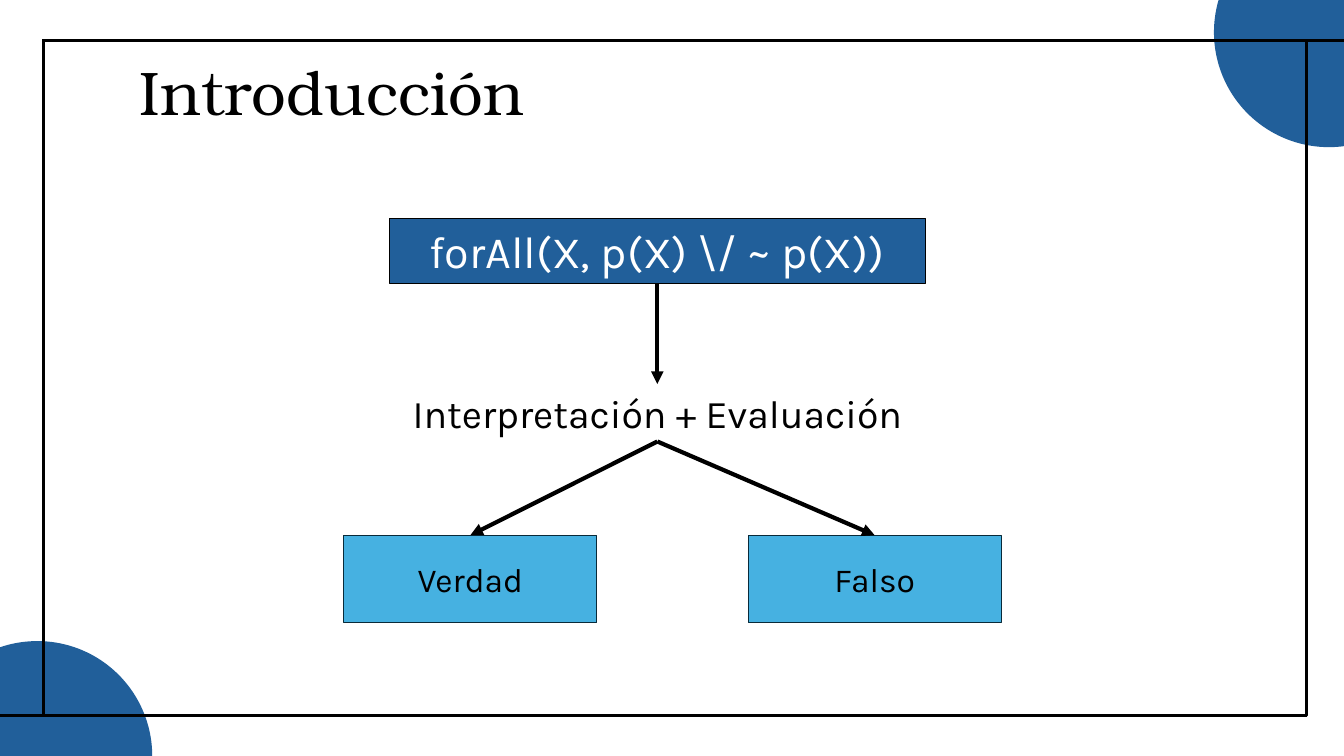
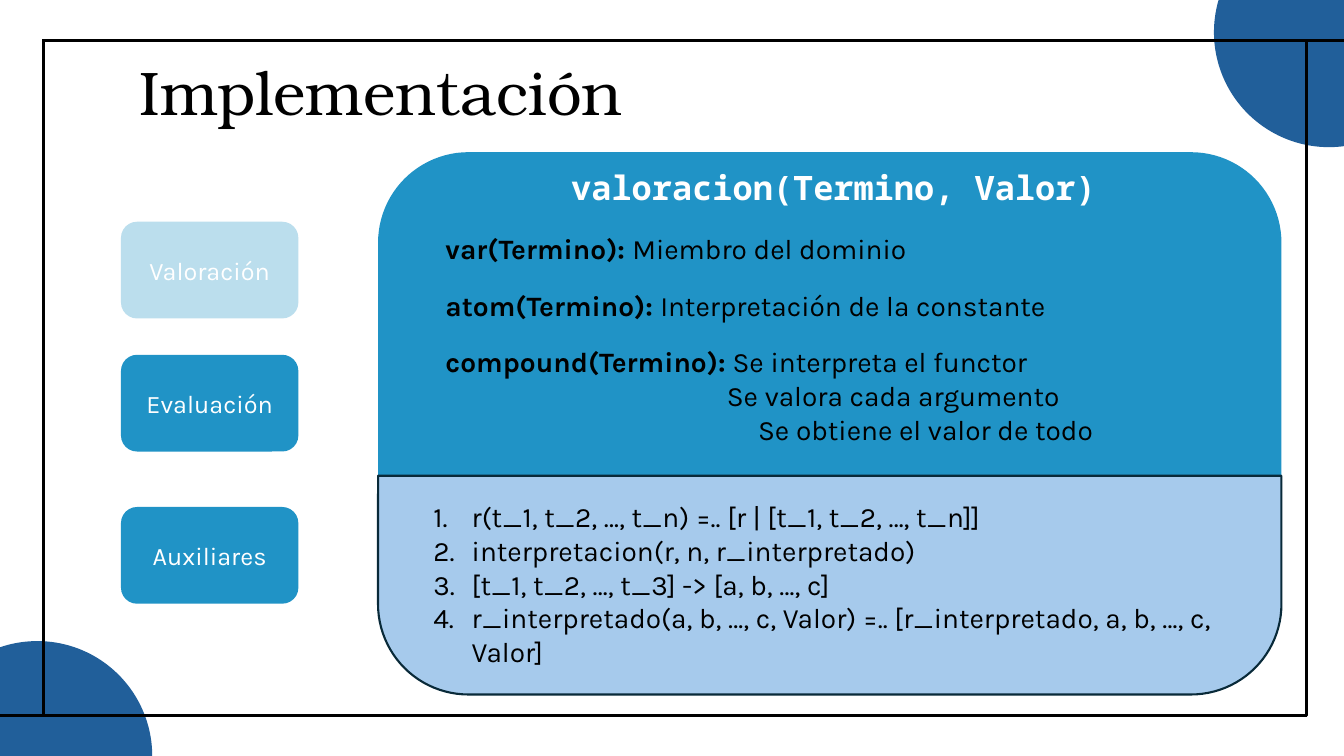
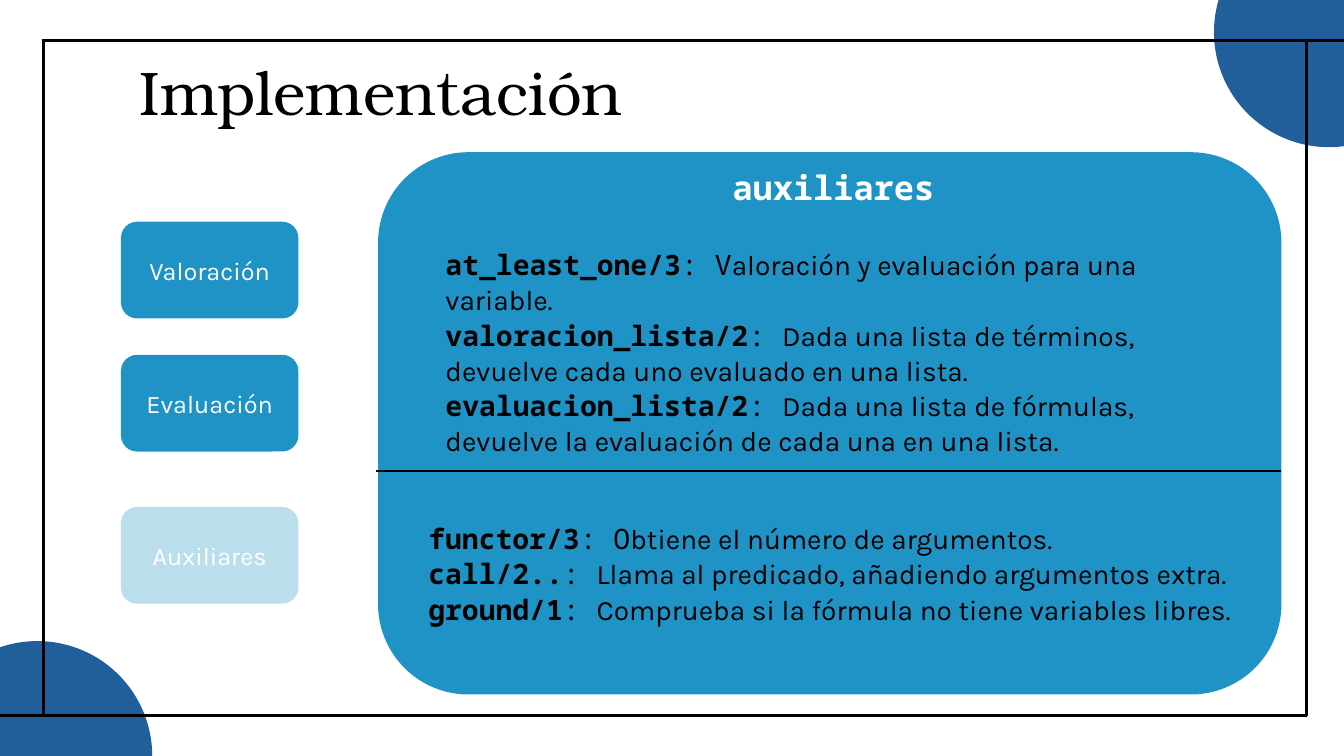
from dataclasses import dataclass

from lxml.etree import SubElement
from pptx import Presentation
from pptx.dml.color import RGBColor
from pptx.enum.shapes import MSO_CONNECTOR, MSO_SHAPE
from pptx.enum.text import MSO_ANCHOR, PP_ALIGN
from pptx.oxml.ns import qn
from pptx.util import Inches, Pt


@dataclass(frozen=True)
class Theme:
    """Colours, fonts and type sizes of the deck."""

    navy: RGBColor = RGBColor(0x21, 0x5F, 0x9A)
    blue: RGBColor = RGBColor(0x20, 0x93, 0xC6)
    sky: RGBColor = RGBColor(0x46, 0xB1, 0xE1)
    pale: RGBColor = RGBColor(0xA6, 0xCA, 0xEC)
    edge: RGBColor = RGBColor(0x09, 0x2A, 0x39)
    black: RGBColor = RGBColor(0, 0, 0)
    white: RGBColor = RGBColor(255, 255, 255)
    title_font: str = "TeX Gyre Bonum"
    body_font: str = "Karla"
    code_font: str = "Noto Sans Mono"
    title_size: int = 44
    formula_size: int = 32
    step_size: int = 28
    heading_size: int = 24
    body_size: int = 20
    tab_size: int = 18


THEME = Theme()
SECTION_TOPS = {"Valoración": 2.2, "Evaluación": 3.52, "Auxiliares": 5.03}
CARD_LEFT, CARD_TOP, CARD_WIDTH, CARD_HEIGHT = 3.75, 1.51, 8.96, 5.38


def style_runs(paragraph, size, color=THEME.black, font=THEME.body_font, bold=False):
    """Format every run of a paragraph alike."""
    for run in paragraph.runs:
        run.font.size = Pt(size)
        run.font.name = font
        run.font.color.rgb = color
        run.font.bold = bold


def add_panel(slide, preset, box, fill=None, line=None, width=0.75):
    """Add a preset shape with a plain fill and outline."""
    panel = slide.shapes.add_shape(preset, *map(Inches, box))
    panel.shadow.inherit = False
    if fill is None:
        panel.fill.background()
    else:
        panel.fill.solid()
        panel.fill.fore_color.rgb = fill
    if line is None:
        panel.line.fill.background()
    else:
        panel.line.color.rgb = line
        panel.line.width = Pt(width)
    return panel


def label(holder, text, size, **style):
    """Write one centred line in a shape or text box."""
    holder.text_frame.text = text
    paragraph = holder.text_frame.paragraphs[0]
    paragraph.alignment = PP_ALIGN.CENTER
    style_runs(paragraph, size, **style)
    return paragraph


def add_text_area(slide, box):
    """Add an empty wrapping text box."""
    area = slide.shapes.add_textbox(*map(Inches, box))
    area.text_frame.word_wrap = True
    return area


def add_paragraphs(area, count):
    """Extend a text box to a number of paragraphs and return them."""
    for _ in range(count - 1):
        area.text_frame.add_paragraph()
    return area.text_frame.paragraphs


def add_rule(slide, start, end, width, arrow=False):
    """Add a straight black line, with an arrowhead if wanted."""
    rule = slide.shapes.add_connector(
        MSO_CONNECTOR.STRAIGHT, *map(Inches, start + end))
    rule.line.color.rgb = THEME.black
    rule.line.width = Pt(width)
    properties = rule.element.spPr
    if arrow:
        SubElement(properties.get_or_add_ln(), qn("a:tailEnd"), type="triangle")
    SubElement(properties, qn("a:effectLst"))
    return rule


def add_arrow(slide, source, target):
    """Join the bottom of one box to the top of another."""
    arrow = add_rule(slide, (0, 0), (1, 1), 3, arrow=True)
    arrow.begin_connect(source, 2)
    arrow.end_connect(target, 0)


def start_slide(deck, title):
    """Add a slide with the shared circles, frame and title."""
    slide = deck.slides.add_slide(deck.slide_layouts[6])
    for left, top in ((12.04, -0.82), (-0.77, 6.36)):
        add_panel(slide, MSO_SHAPE.OVAL, (left, top, 2.28, 2.28), THEME.navy)
    add_panel(slide, MSO_SHAPE.RECTANGLE, (0.43, 0.4, 12.53, 6.7),
              line=THEME.black, width=2.25)
    add_rule(slide, (0.42, 0.4), (13.33, 0.4), 2.25)
    add_rule(slide, (0, 7.1), (12.96, 7.1), 2.25)
    heading = add_text_area(slide, (1.29, 0.4, 11.13, 1.1))
    heading.text_frame.vertical_anchor = MSO_ANCHOR.MIDDLE
    heading.text_frame.text = title
    paragraph = heading.text_frame.paragraphs[0]
    paragraph.line_spacing = 0.9
    style_runs(paragraph, THEME.title_size, font=THEME.title_font)
    return slide


def add_section_tabs(slide, current):
    """Add the section tabs, fading the current one."""
    for section, top in SECTION_TOPS.items():
        tab = add_panel(slide, MSO_SHAPE.ROUNDED_RECTANGLE,
                        (1.2, top, 1.76, 0.96), THEME.blue)
        label(tab, section, THEME.tab_size, color=THEME.white)
        if section == current:
            color = tab.element.spPr.find(".//" + qn("a:srgbClr"))
            SubElement(color, qn("a:alpha"), val="30000")


def add_card(slide):
    """Add the large rounded card."""
    add_panel(slide, MSO_SHAPE.ROUNDED_RECTANGLE,
              (CARD_LEFT, CARD_TOP, CARD_WIDTH, CARD_HEIGHT), THEME.blue)


def add_card_heading(slide, text):
    """Add the code heading at the top of the card."""
    heading = add_text_area(slide, (4.32, 1.61, 7.89, 0.5))
    label(heading, text, THEME.heading_size, color=THEME.white,
          font=THEME.code_font, bold=True)


def add_card_foot(slide, top):
    """Add the pale lower part that follows the card's round corners."""
    height = CARD_TOP + CARD_HEIGHT - top
    foot = add_panel(slide, MSO_SHAPE.ROUND_2_SAME_RECTANGLE,
                     (CARD_LEFT, top, CARD_WIDTH, height),
                     THEME.pale, THEME.edge, 1.5)
    foot.adjustments[0] = 0
    foot.adjustments[1] = CARD_HEIGHT / 6 / height


def add_numbered_list(slide, box, items):
    """Add an automatically numbered list."""
    area = add_text_area(slide, box)
    for paragraph, item in zip(add_paragraphs(area, len(items)), items):
        paragraph.text = item
        style_runs(paragraph, THEME.body_size)
        properties = paragraph._p.get_or_add_pPr()
        properties.set("marL", str(Inches(0.38)))
        properties.set("indent", str(-Inches(0.38)))
        SubElement(properties, qn("a:buAutoNum"), type="arabicPeriod")


def add_cases(slide, box, cases):
    """Add bold terms with meanings, given as term, meaning, indent, gap."""
    area = add_text_area(slide, box)
    paragraphs = add_paragraphs(area, len(cases))
    for paragraph, (term, meaning, indent, gap) in zip(paragraphs, cases):
        for part in filter(None, (term, meaning)):
            paragraph.add_run().text = part
        style_runs(paragraph, THEME.body_size)
        paragraph.runs[0].font.bold = bool(term)
        paragraph.space_after = Pt(gap)
        paragraph._p.get_or_add_pPr().set("marL", str(Inches(indent)))


def add_predicates(slide, box, predicates):
    """Add predicates, given as name, code-font lead and description."""
    area = add_text_area(slide, box)
    paragraphs = add_paragraphs(area, len(predicates))
    for paragraph, parts in zip(paragraphs, predicates):
        for part in parts:
            paragraph.add_run().text = part
        paragraph.line_spacing = 1.05
        style_runs(paragraph, THEME.body_size, font=THEME.code_font)
        paragraph.runs[0].font.bold = True
        paragraph.runs[-1].font.name = THEME.body_font


def build_introduction(deck):
    """Build the flow from a formula to its truth value."""
    slide = start_slide(deck, "Introducción")
    formula = add_panel(slide, MSO_SHAPE.RECTANGLE, (3.86, 2.17, 5.32, 0.64),
                        THEME.navy, THEME.black)
    label(formula, "forAll(X, p(X) \\/ ~ p(X))", THEME.formula_size,
          color=THEME.white)
    step = add_text_area(slide, (3.86, 3.81, 5.32, 0.57))
    paragraph = label(step, "Interpretación + Evaluación", THEME.step_size)
    paragraph.space_before = paragraph.space_after = Pt(6)
    add_arrow(slide, formula, step)
    for left, value in ((3.41, "Verdad"), (7.42, "Falso")):
        result = add_panel(slide, MSO_SHAPE.RECTANGLE, (left, 5.31, 2.51, 0.87),
                           THEME.sky, THEME.edge)
        label(result, value, THEME.heading_size)
        add_arrow(slide, step, result)


def build_valuation(deck):
    """Build the slide on the valuation of terms."""
    slide = start_slide(deck, "Implementación")
    add_section_tabs(slide, "Valoración")
    add_card(slide)
    add_card_foot(slide, 4.72)
    add_card_heading(slide, "valoracion(Termino, Valor)")
    add_cases(slide, (4.32, 2.25, 7.99, 2.26), (
        ("var(Termino): ", "Miembro del dominio", 0, 16.4),
        ("atom(Termino): ", "Interpretación de la constante", 0, 16.4),
        ("compound(Termino):", " Se interpreta el functor", 0, 0),
        ("", "Se valora cada argumento", 2.79, 0),
        ("", "Se obtiene el valor de todo", 3.1, 0),
    ))
    add_numbered_list(slide, (4.2, 4.91, 8.23, 1.78), (
        "r(t_1, t_2, …, t_n) =.. [r | [t_1, t_2, …, t_n]]",
        "interpretacion(r, n, r_interpretado)",
        "[t_1, t_2, …, t_3] -> [a, b, …, c]",
        "r_interpretado(a, b, …, c, Valor) =.. "
        "[r_interpretado, a, b, …, c, Valor]",
    ))


def build_helpers(deck):
    """Build the slide on the auxiliary predicates."""
    slide = start_slide(deck, "Implementación")
    add_section_tabs(slide, "Auxiliares")
    add_card(slide)
    add_card_heading(slide, "auxiliares")
    add_predicates(slide, (4.32, 2.39, 7.72, 2.21), (
        ("at_least_one/3", ": V",
         "aloración y evaluación para una variable."),
        ("valoracion_lista/2", ": ",
         "Dada una lista de términos, devuelve cada uno evaluado en una lista."),
        ("evaluacion_lista/2", ": ",
         "Dada una lista de fórmulas, devuelve la evaluación de cada una "
         "en una lista."),
    ))
    add_rule(slide, (3.73, 4.67), (12.71, 4.67), 1.5)
    add_predicates(slide, (4.15, 5.11, 8.26, 1.15), (
        ("functor/3", ": O", "btiene el número de argumentos."),
        ("call/2..", ": ", "Llama al predicado, añadiendo argumentos extra."),
        ("ground/1", ": ",
         "Comprueba si la fórmula no tiene variables libres."),
    ))


def main():
    """Build and save the deck."""
    deck = Presentation()
    deck.slide_width = Inches(13.33)
    deck.slide_height = Inches(7.5)
    build_introduction(deck)
    build_valuation(deck)
    build_helpers(deck)
    deck.save("out.pptx")


if __name__ == "__main__":
    main()
